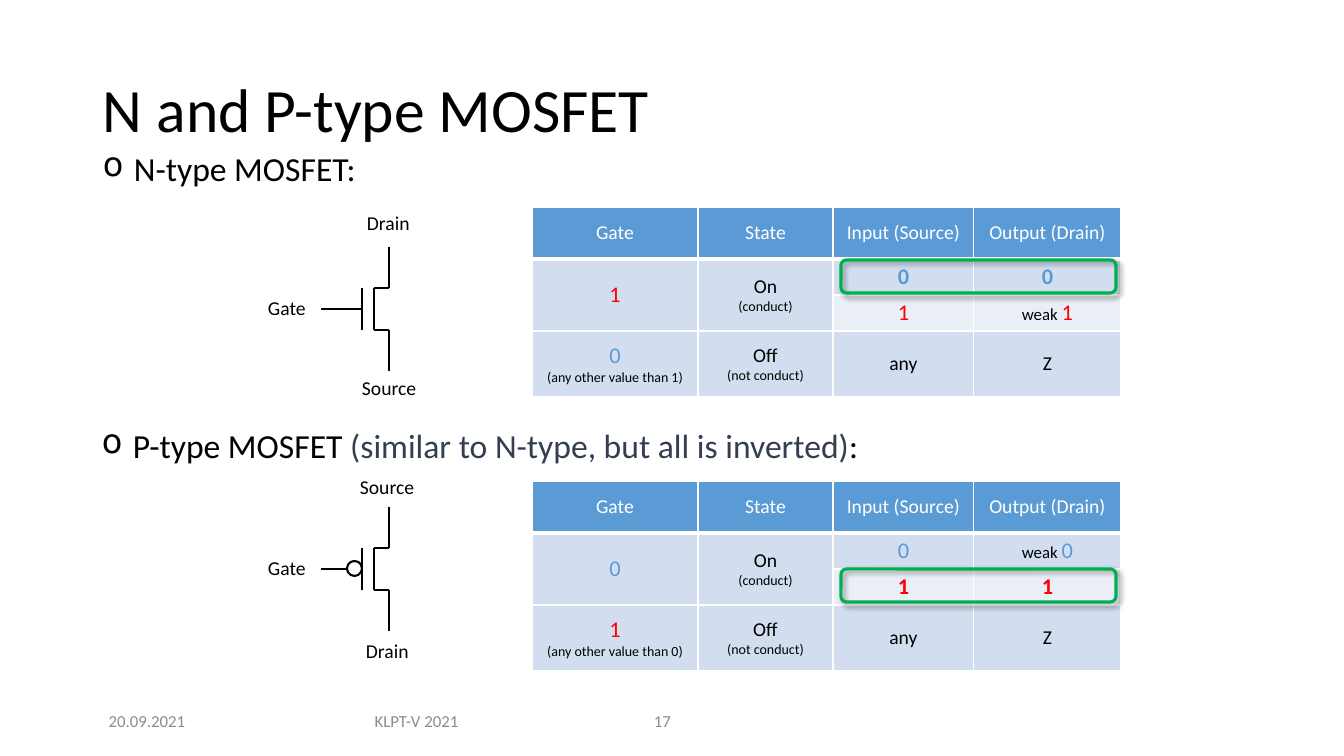
from dataclasses import dataclass
from typing import Any, NamedTuple

from lxml.etree import SubElement as Sub
from pptx import Presentation
from pptx.dml.color import RGBColor as Rgb
from pptx.enum.shapes import MSO_CONNECTOR as Link, MSO_SHAPE as Kind
from pptx.enum.text import MSO_ANCHOR as Anchor, MSO_AUTO_SIZE as Fit, PP_ALIGN as Align
from pptx.oxml.ns import qn
from pptx.util import Pt

SCALE = 914400 / 100.8
INK = {
    "black": "000000", "white": "FFFFFF", "blue": "5B9BD5", "red": "FF0000",
    "pale": "D2DEEF", "light": "EAEFF7", "slate": "333F50", "grey": "8C8C8C",
    "green": "00B050",
}
COLS = (166, 135, 141, 147)
ROWS = (52, 36, 36, 66)
HEAD = ("Gate", "State", "Input (Source)", "Output (Drain)")
WIDTHS = {"Gate": 59, "Drain": 64, "Source": 78}
MID = {"vertical_anchor": Anchor.MIDDLE, "word_wrap": True}
LOOSE = {"word_wrap": False, "auto_size": Fit.SHAPE_TO_FIT_TEXT}


class Run(NamedTuple):
    text: str
    size: int = 14
    ink: str = "black"
    bold: bool = False


class Label(NamedTuple):
    text: str
    left: int
    top: int


class Note(NamedTuple):
    box: tuple[int, int, int, int]
    runs: list[Run]
    frame: dict[str, Any] = MID
    para: dict[str, Any] = {}
    dot: bool = False


@dataclass
class Fet:
    gate: int
    table: int
    ring: int
    on: str
    off: str
    ends: tuple[Label, Label]
    bubble: bool


def px(val: int) -> int:
    return round(val * SCALE)


def tint(name: str) -> Rgb:
    return Rgb.from_string(INK[name])


def put(obj: Any, vals: dict[str, Any]) -> None:
    for key, val in vals.items():
        setattr(obj, key, val)


def write(para: Any, runs: list[Run]) -> None:
    for item in runs:
        run = para.add_run()
        run.text = item.text
        put(run.font, {"name": "Calibri", "size": Pt(item.size), "bold": item.bold})
        run.font.color.rgb = tint(item.ink)


def draw_note(shapes: Any, note: Note) -> None:
    frame = shapes.add_textbox(*map(px, note.box)).text_frame
    put(frame, note.frame)
    para = frame.paragraphs[0]
    put(para, note.para)
    write(para, note.runs)
    if note.dot:
        props = para._p.get_or_add_pPr()
        props.set("marL", str(px(31)))
        props.set("indent", str(px(-31)))
        Sub(props, qn("a:buChar"), char="o")


def stroke(line: Any, ink: str, width: float) -> None:
    line.color.rgb = tint(ink)
    line.width = Pt(width)


def edge(cell: Any, side: str, width: int) -> None:
    line = Sub(cell._tc.get_or_add_tcPr(), qn(f"a:ln{side}"), w=str(Pt(width)))
    Sub(Sub(line, qn("a:solidFill")), qn("a:srgbClr"), val=INK["white"])


def digit(val: str, bold: bool = False) -> Run:
    return Run(val, 16, "blue" if val == "0" else "red", bold)


def make_rows(fet: Fet) -> list[list[list[list[Run]]]]:
    rows = [[[[Run(text, ink="white")]] for text in HEAD]]
    for val in "01":
        best = val == fet.off
        lead = [] if best else [Run("weak ", 12)]
        rows.append([[], [], [[digit(val, best)]], [lead + [digit(val, best)]]])
    rows[1][:2] = [[digit(fet.on)]], [[Run("On")], [Run("(conduct)", 10)]]
    rows.append([
        [[digit(fet.off)], [Run(f"(any other value than {fet.on})", 10)]],
        [[Run("Off")], [Run("(not conduct)", 10)]],
        [[Run("any")]], [[Run("Z")]],
    ])
    return rows


def draw_table(shapes: Any, fet: Fet) -> None:
    box = (532, fet.table, sum(COLS), sum(ROWS))
    table = shapes.add_table(len(ROWS), len(COLS), *map(px, box)).table
    for col, width in zip(table.columns, COLS):
        col.width = px(width)
    for row, height in zip(table.rows, ROWS):
        row.height = px(height)
    for col in (0, 1):
        table.cell(1, col).merge(table.cell(2, col))
    fills = ("blue", "pale", "light", "pale")
    for r, cells in enumerate(make_rows(fet)):
        for c, lines in enumerate(cells):
            cell = table.cell(r, c)
            put(cell, {
                "vertical_anchor": Anchor.MIDDLE,
                "margin_left": px(9), "margin_right": px(9),
                "margin_top": px(4), "margin_bottom": px(4),
            })
            for side in "LRTB":
                edge(cell, side, 3 if r == 0 and side == "B" else 1)
            cell.fill.solid()
            cell.fill.fore_color.rgb = tint(fills[r])
            frame = cell.text_frame
            for n, runs in enumerate(lines):
                para = frame.add_paragraph() if n else frame.paragraphs[0]
                para.alignment = Align.CENTER
                write(para, runs)


def draw_gate(shapes: Any, fet: Fet) -> None:
    group = shapes.add_group_shape().shapes
    top, low = fet.gate, fet.gate + 42
    mid = top + 21
    wires = (
        (374, top, 374, low), (374, top, 389, top), (374, low, 389, low),
        (389, top - 41, 389, top), (389, low, 389, low + 41),
        (362, top, 362, low), (362, mid, 321, mid),
    )
    for wire in wires:
        link = group.add_connector(Link.STRAIGHT, *map(px, wire))
        stroke(link.line, "black", 1.5)
        Sub(link._element.spPr, qn("a:effectLst"))
    for text, left, y in (Label("Gate", 258, top + 3), *fet.ends):
        draw_note(group, Note((left, y, WIDTHS[text], 34), [Run(text)], LOOSE))
    if fet.bubble:
        ball = group.add_shape(Kind.OVAL, *map(px, (347, mid - 8, 15, 15)))
        ball.shadow.inherit = False
        ball.fill.solid()
        ball.fill.fore_color.rgb = tint("white")
        stroke(ball.line, "black", 1.5)


def draw_ring(shapes: Any, fet: Fet) -> None:
    ring = shapes.add_shape(Kind.ROUNDED_RECTANGLE, *map(px, (841, fet.ring, 275, 33)))
    ring.shadow.inherit = False
    ring.fill.background()
    stroke(ring.line, "green", 2.25)
    glow = Sub(ring._element.spPr.find(qn("a:effectLst")), qn("a:outerShdw"),
               blurRad=str(Pt(4)), dist=str(Pt(3)), dir=str(45 * 60000),
               algn="tl", rotWithShape="0")
    shade = Sub(glow, qn("a:srgbClr"), val=INK["black"])
    Sub(shade, qn("a:alpha"), val="40000")


FETS = (
    Fet(288, 207, 260, "1", "0",
        (Label("Drain", 357, 206), Label("Source", 352, 371)), False),
    Fet(548, 481, 569, "0", "1",
        (Label("Source", 350, 470), Label("Drain", 356, 634)), True),
)
CENTER = {"alignment": Align.CENTER}
NOTES = (
    Note((93, 40, 1159, 146), [Run("N and P-type MOSFET", 44)], para={"line_spacing": 0.9}),
    Note((93, 143, 273, 50), [Run("N-type MOSFET:", 24)], LOOSE, dot=True),
    Note((92, 420, 785, 50), [
        Run("P-type MOSFET ", 24),
        Run("(similar to N-type, but all is inverted)", 24, "slate"),
        Run(":", 24),
    ], LOOSE, dot=True),
    Note((93, 701, 108, 40), [Run("20.09.2021", 12, "grey")], para=CENTER),
    Note((337, 701, 159, 40), [Run("KLPT-V 2021", 12, "grey")], para=CENTER),
    Note((644, 701, 80, 40), [Run("17", 12, "grey")]),
)

deck = Presentation()
put(deck, {"slide_width": px(1344), "slide_height": px(756)})
shapes = deck.slides.add_slide(deck.slide_layouts[6]).shapes
for note in NOTES:
    draw_note(shapes, note)
for fet in FETS:
    draw_table(shapes, fet)
    draw_gate(shapes, fet)
    draw_ring(shapes, fet)
deck.save("out.pptx")
